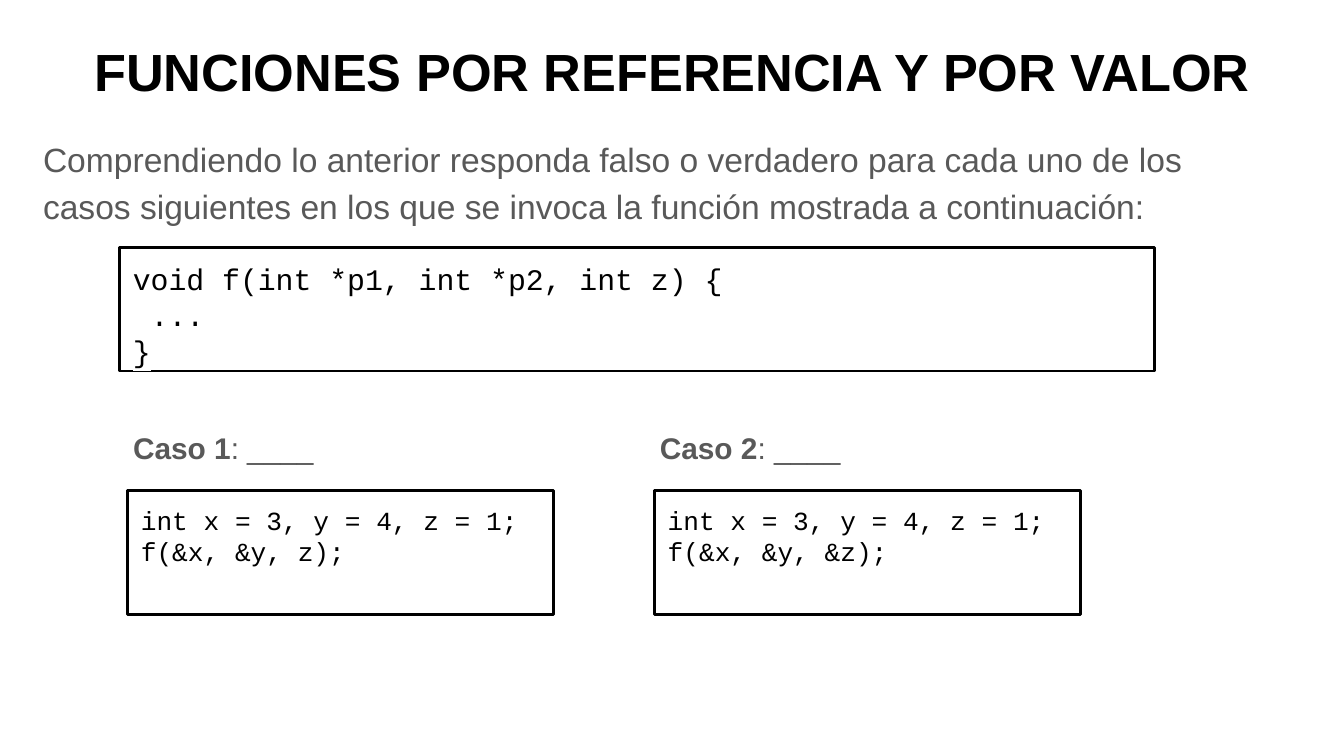
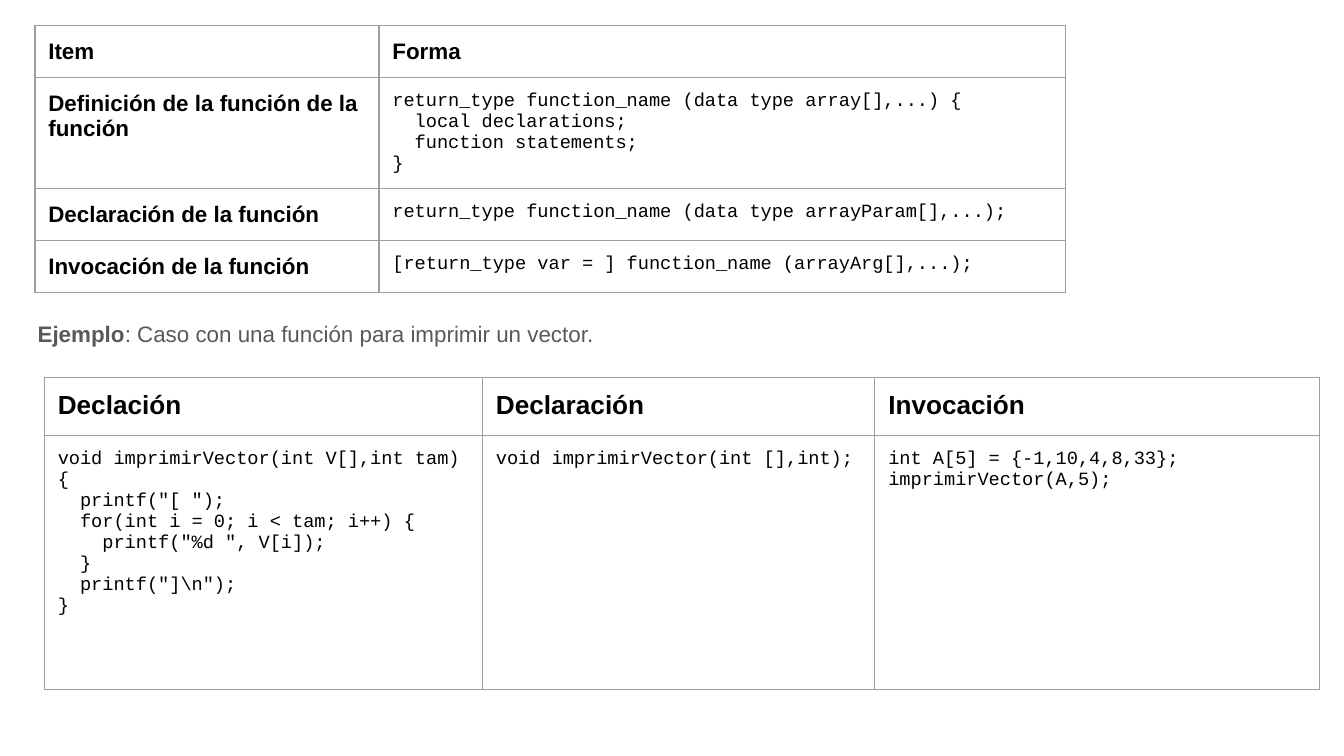
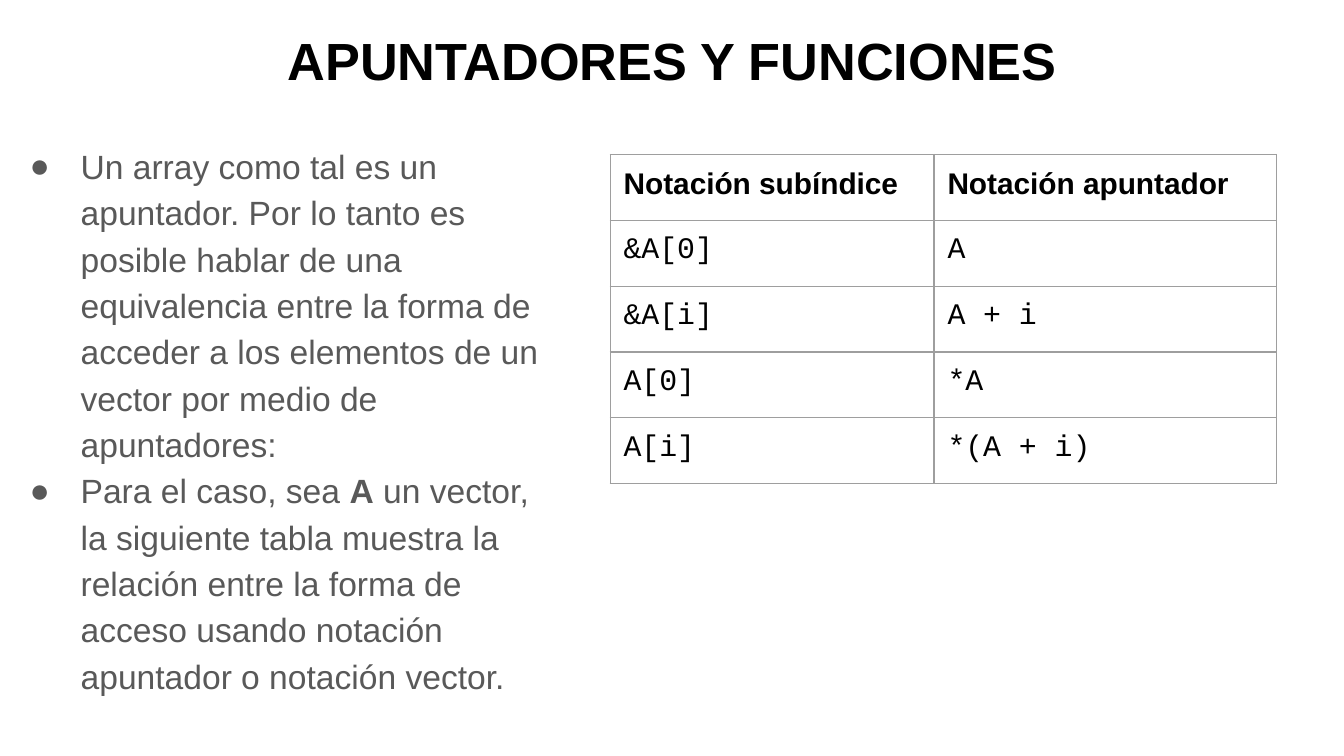
import pptx
import pptx.dml.color
import pptx.enum.shapes
import pptx.enum.text
import pptx.oxml.ns
import pptx.util
from lxml import etree

Inches = pptx.util.Inches
Pt = pptx.util.Pt
RGB = pptx.dml.color.RGBColor
qn = pptx.oxml.ns.qn
ALIGN = pptx.enum.text.PP_ALIGN

WIDTH = Inches(10)
HEIGHT = WIDTH * 9 // 16
BLACK = RGB(0x00, 0x00, 0x00)
WHITE = RGB(0xFF, 0xFF, 0xFF)
GREY = RGB(0x59, 0x59, 0x59)
RULE = RGB(0x9E, 0x9E, 0x9E)
SANS, MONO = "Arial", "Courier New"
PAD = Inches(0.1)

# Text between ** marks is bold.
TASK = ("Comprendiendo lo anterior responda falso o verdadero para cada uno "
        "de los casos siguientes en los que se invoca la función mostrada a "
        "continuación:")
PROTO = "void f(int *p1, int *p2, int z) {\n ...\n}"
CASES = [
    ("**Caso 1**: ____", "int x = 3, y = 4, z = 1;\nf(&x, &y, z);"),
    ("**Caso 2**: ____", "int x = 3, y = 4, z = 1;\nf(&x, &y, &z);"),
]

FORMS = [
    ("Item", "Forma"),
    ("Definición de la función de la función",
     "return_type function_name (data type array[],...) {\n"
     "  local declarations;\n"
     "  function statements;\n"
     "}"),
    ("Declaración de la función",
     "return_type function_name (data type arrayParam[],...);"),
    ("Invocación de la función",
     "[return_type var = ] function_name (arrayArg[],...);"),
]
SAMPLE = "**Ejemplo**: Caso con una función para imprimir un vector."
VECTOR = [
    ("Declación", "Declaración", "Invocación"),
    (r'''void imprimirVector(int V[],int tam)
{
  printf("[ ");
  for(int i = 0; i < tam; i++) {
    printf("%d ", V[i]);
  }
  printf("]\n");
}''',
     "void imprimirVector(int [],int);",
     "int A[5] = {-1,10,4,8,33};\nimprimirVector(A,5);"),
]

POINTS = (
    "Un array como tal es un apuntador. Por lo tanto es posible hablar de una "
    "equivalencia entre la forma de acceder a los elementos de un vector por "
    "medio de apuntadores:\n"
    "Para el caso, sea **A** un vector, la siguiente tabla muestra la relación "
    "entre la forma de acceso usando notación apuntador o notación vector.")
ACCESS = [
    ("Notación subíndice", "Notación apuntador"),
    ("&A[0]", "A"),
    ("&A[i]", "A + i"),
    ("A[0]", "*A"),
    ("A[i]", "*(A + i)"),
]


def paint(parent, tag, color):
    """Append an element that holds a colour."""
    node = etree.SubElement(parent, qn(tag))
    etree.SubElement(node, qn("a:srgbClr")).set("val", str(color))


def write(frame, text, size, face=SANS, color=BLACK, bold=False,
          align=ALIGN.LEFT, prep=None):
    """Give each line a paragraph; prep sets up a paragraph before its font."""
    for num, line in enumerate(text.split("\n")):
        para = frame.add_paragraph() if num else frame.paragraphs[0]
        if prep:
            prep(para)
        para.alignment = align
        for part, piece in enumerate(line.split("**")):
            if piece:
                run = para.add_run()
                run.text = piece
                if part % 2:
                    run.font.bold = True
        font = para.font
        font.name, font.size, font.bold = face, Pt(size), bold
        font.color.rgb = color


def pad(box):
    box.margin_left = box.margin_right = PAD
    box.margin_top = box.margin_bottom = PAD


def place(shape, left, top, width, height):
    shape.left, shape.top = Inches(left), Inches(top)
    shape.width, shape.height = Inches(width), Inches(height)
    frame = shape.text_frame
    frame.word_wrap = True
    frame.auto_size = pptx.enum.text.MSO_AUTO_SIZE.NONE
    frame.vertical_anchor = pptx.enum.text.MSO_ANCHOR.TOP
    pad(frame)


def add_title(slide, text, top):
    title = slide.shapes.title
    place(title, 0.34, top, 9.32, 0.63)
    write(title.text_frame, text, 28, bold=True, align=ALIGN.CENTER)


def add_body(shape, text, box, size, after=0, bullet=False):
    def prep(para):
        props = para._p.get_or_add_pPr()
        props.set("marL", str(Inches(0.5 if bullet else 0)))
        props.set("indent", str(Inches(-0.38 if bullet else 0)))
        if bullet:
            paint(props, "a:buClr", GREY)
            etree.SubElement(props, qn("a:buChar")).set("char", "●")
        else:
            etree.SubElement(props, qn("a:buNone"))
        para.line_spacing = 1.15
        para.space_before, para.space_after = Pt(0), Pt(after)

    place(shape, *box)
    write(shape.text_frame, text, size, color=GREY, prep=prep)


def add_code(slide, text, box, size):
    kind = pptx.enum.shapes.MSO_SHAPE.RECTANGLE
    shape = slide.shapes.add_shape(kind, 0, 0, 0, 0)
    place(shape, *box)
    shape.shadow.inherit = False
    shape.fill.background()
    shape.line.color.rgb = BLACK
    shape.line.width = Pt(1.5)
    write(shape.text_frame, text, size, MONO)
    for para in shape.text_frame.paragraphs:
        for run in para.runs:
            paint(run._r.get_or_add_rPr(), "a:highlight", WHITE)


def add_grid(slide, data, spot, cols, rows, sizes, labels=0):
    """Bold the first row and the first `labels` columns; set the rest as code."""
    left, top = spot
    table = slide.shapes.add_table(
        len(rows), len(cols), Inches(left), Inches(top),
        Inches(sum(cols)), Inches(sum(rows))).table
    table.first_row = table.horz_banding = False
    for col, width in zip(table.columns, cols):
        col.width = Inches(width)
    for row, height in zip(table.rows, rows):
        row.height = Inches(height)
    for r, line in enumerate(data):
        for c, text in enumerate(line):
            cell = table.cell(r, c)
            pad(cell)
            props = cell._tc.get_or_add_tcPr()
            for side in "LRTB":
                edge = etree.SubElement(props, qn("a:ln" + side))
                edge.set("w", str(Pt(0.75)))
                paint(edge, "a:solidFill", RULE)
            cell.fill.background()
            if r == 0 or c < labels:
                write(cell.text_frame, text, sizes[0], bold=True)
            else:
                write(cell.text_frame, text, sizes[1], MONO)


def add_slide(deck, layout):
    return deck.slides.add_slide(deck.slide_layouts[layout])


def drop(shape):
    shape._element.getparent().remove(shape._element)


def cases_slide(deck):
    slide = add_slide(deck, 4)
    add_title(slide, "FUNCIONES POR REFERENCIA Y POR VALOR", 0.19)
    task, *slots, spare = list(slide.placeholders)[1:]
    drop(spare)
    add_body(task, TASK, (0.22, 0.89, 9.32, 3.74), 18, 16)
    add_code(slide, PROTO, (0.89, 1.84, 7.7, 0.92), 16)
    for num, (slot, (label, code)) in enumerate(zip(slots, CASES)):
        left = 0.89 + 3.92 * num
        add_body(slot, label, (left, 3.06, 3.4, 2.36), 16, 16)
        add_code(slide, code, (left + 0.06, 3.65, 3.17, 0.92), 14)


def forms_slide(deck):
    slide = add_slide(deck, 1)
    drop(slide.shapes.title)
    add_body(slide.placeholders[1], SAMPLE, (0.18, 2.25, 8.83, 0.56), 12)
    add_grid(slide, FORMS, (0.26, 0.19), (2.56, 5.11),
             (0.36, 0.74, 0.36, 0.11), (12, 10), labels=1)
    add_grid(slide, VECTOR, (0.33, 2.81), (3.26, 2.92, 3.31),
             (0.43, 1.89), (14, 10))


def access_slide(deck):
    slide = add_slide(deck, 1)
    add_title(slide, "APUNTADORES Y FUNCIONES", 0.11)
    add_body(slide.placeholders[1], POINTS, (0, 0.94, 4.14, 3.74), 18, bullet=True)
    add_grid(slide, ACCESS, (4.54, 1.15), (2.41, 2.55),
             [0.49] * len(ACCESS), (16, 16))


def main():
    deck = pptx.Presentation()
    deck.slide_width, deck.slide_height = WIDTH, HEIGHT
    cases_slide(deck)
    forms_slide(deck)
    access_slide(deck)
    deck.save("out.pptx")


if __name__ == "__main__":
    main()
